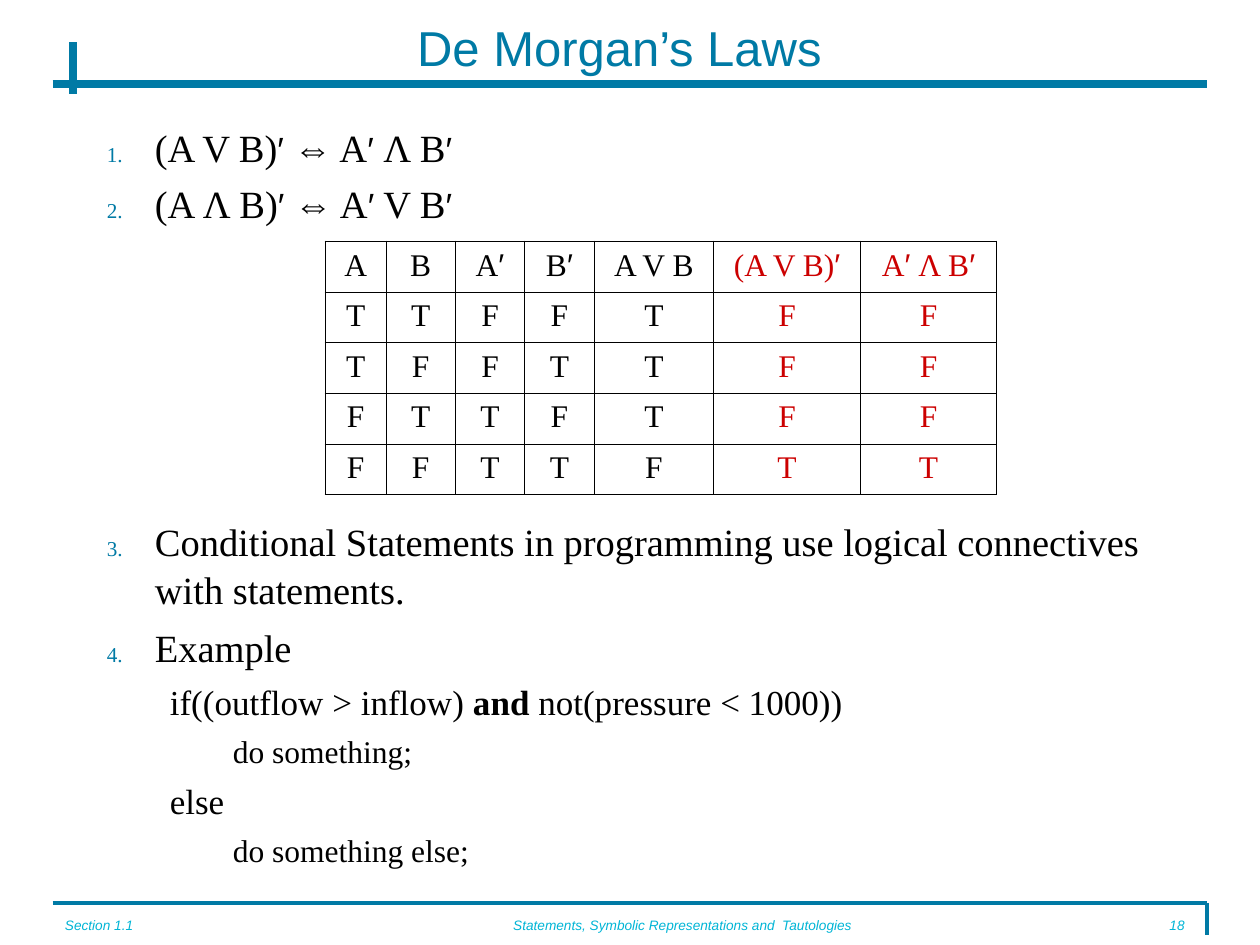
from itertools import groupby

from lxml import etree
from pptx import Presentation
from pptx.dml.color import RGBColor as RGB
from pptx.enum.text import MSO_ANCHOR as Anchor, PP_ALIGN as Align
from pptx.oxml.ns import qn
from pptx.util import Cm, Pt

COLORS = {"blue": "007AA5", "cyan": "00B5D6", "black": "000000",
          "red": "CC0000", "prime": "C30000"}
SERIF, SANS = "Times New Roman", "Arial"


def style(r, size, color, font=SERIF):
    r.font.size = Pt(size)
    r.font.name = font
    r.font.color.rgb = RGB.from_string(COLORS[color])


def add_formula(p, text, size, color, prime_size, prime_color):
    """Write a formula, with its primes and double arrows in Arial."""
    for kind, chars in groupby(text, lambda c: c if c in "′⇔" else ""):
        r = p.add_run()
        r.text = "".join(chars)
        if kind == "′":
            style(r, prime_size, prime_color, SANS)
        else:
            style(r, size, color, SANS if kind else SERIF)


prs = Presentation()
prs.slide_width, prs.slide_height = Cm(25.4), Cm(19.05)
s = prs.slides.add_slide(prs.slide_layouts[1])

# Rules at the top and the bottom
for x1, y1, x2, y2, width in [
    (1.06, 18.2, 24.34, 18.2, 2.25),
    (24.34, 18.2, 24.34, 18.84, 2.25),
    (1.06, 1.69, 24.34, 1.69, 4.5),
    (1.48, 0.85, 1.48, 1.9, 4.5),
]:
    line = s.shapes.add_connector(1, Cm(x1), Cm(y1), Cm(x2), Cm(y2))
    line.line.color.rgb = RGB.from_string(COLORS["blue"])
    line.line.width = Pt(width)
    etree.SubElement(line._element.spPr, qn("a:effectLst"))

# Footer
for left, width, text, align in [
    (1.06, 4.45, "Section 1.1", Align.LEFT),
    (8.47, 10.58, "Statements, Symbolic Representations and  Tautologies", Align.CENTER),
    (22.23, 1.9, "18", Align.RIGHT),
]:
    tf = s.shapes.add_textbox(Cm(left), Cm(18.42), Cm(width), Cm(0.64)).text_frame
    tf.word_wrap = True
    p = tf.paragraphs[0]
    p.text = text
    p.alignment = align
    p.line_spacing = 0.8
    style(p.runs[0], 7.8, "cyan", SANS)
    p.runs[0].font.italic = True

# Title
title = s.shapes.title
title.left, title.top, title.width, title.height = Cm(1.69), Cm(0.42), Cm(21.59), Cm(1.06)
tf = title.text_frame
tf.text = "De Morgan’s Laws"
tf.vertical_anchor = Anchor.MIDDLE
tf.paragraphs[0].alignment = Align.CENTER
style(tf.paragraphs[0].runs[0], 28, "blue", SANS)

# Numbered list and code example; item 3 leaves room for the table
body = s.placeholders[1]
body.left, body.top, body.width, body.height = Cm(1.9), Cm(2.33), Cm(21.59), Cm(15.24)
tf = body.text_frame
tf.vertical_anchor = Anchor.TOP
LEVELS = [(22, 0.97, -0.97), (20, 2.11, -0.84), (18, 3.28, -0.74)]
items = [
    (0, 5, "(A V B)′ ⇔ A′ Λ B′"),
    (0, 5, "(A Λ B)′ ⇔ A′ V B′"),
    (0, 165.5, "Conditional Statements in programming use logical connectives with statements."),
    (0, 5.5, "Example"),
    (1, 5, "if((outflow > inflow) and not(pressure < 1000))"),
    (2, 4.5, "do something;"),
    (1, 5, "else"),
    (2, 4.5, "do something else;"),
]
for i, (level, before, text) in enumerate(items):
    p = tf.add_paragraph() if i else tf.paragraphs[0]
    size, margin, indent = LEVELS[level]
    p.level = level
    p.space_before = Pt(before)
    p.line_spacing = 1.04
    before_and, word, after_and = text.partition(" and ")
    for part in filter(None, (before_and, word, after_and)):
        add_formula(p, part, size, "black", 20, "black")
        p.runs[-1].font.bold = part == " and "

    pPr = p._p.get_or_add_pPr()
    pPr.set("marL", str(Cm(margin)))
    pPr.set("indent", str(Cm(indent)))
    if level:
        etree.SubElement(pPr, qn("a:buNone"))
    else:
        color = etree.SubElement(pPr, qn("a:buClr"))
        etree.SubElement(color, qn("a:srgbClr"), val=COLORS["blue"])
        etree.SubElement(pPr, qn("a:buSzPct"), val="55000")
        etree.SubElement(pPr, qn("a:buFont"), typeface=SERIF)
        etree.SubElement(pPr, qn("a:buAutoNum"), type="arabicPeriod")

# Truth table
rows = [["A", "B", "A′", "B′", "A V B", "(A V B)′", "A′ Λ B′"],
        *map(list, ("TTFFTFF", "TFFTTFF", "FTTFTFF", "FFTTFTT"))]
widths = [1.22, 1.4, 1.4, 1.4, 2.41, 2.96, 2.74]
table = s.shapes.add_table(len(rows), len(widths), Cm(6.56), Cm(4.87),
                           Cm(sum(widths)), Cm(5.1)).table
table.first_row = table.horz_banding = False
for col, width in zip(table.columns, widths):
    col.width = Cm(width)
for i, row in enumerate(rows):
    table.rows[i].height = Cm(1.02)
    for j, text in enumerate(row):
        cell = table.cell(i, j)
        p = cell.text_frame.paragraphs[0]
        p.alignment = Align.CENTER
        p.space_before = Pt(4.5)
        color, prime = ("red", "prime") if j >= 5 else ("black", "black")
        add_formula(p, text, 18, color, 18, prime)

        # Thin inner borders, thicker outer ones
        tcPr = cell._tc.get_or_add_tcPr()
        outer = {"L": j == 0, "R": j == len(widths) - 1,
                 "T": i == 0, "B": i == len(rows) - 1}
        for side, is_outer in outer.items():
            ln = etree.SubElement(tcPr, qn(f"a:ln{side}"), w=str(Pt(1.08 if is_outer else 0.45)))
            fill = etree.SubElement(ln, qn("a:solidFill"))
            etree.SubElement(fill, qn("a:srgbClr"), val=COLORS["black"])
        cell.fill.background()

prs.save("out.pptx")
